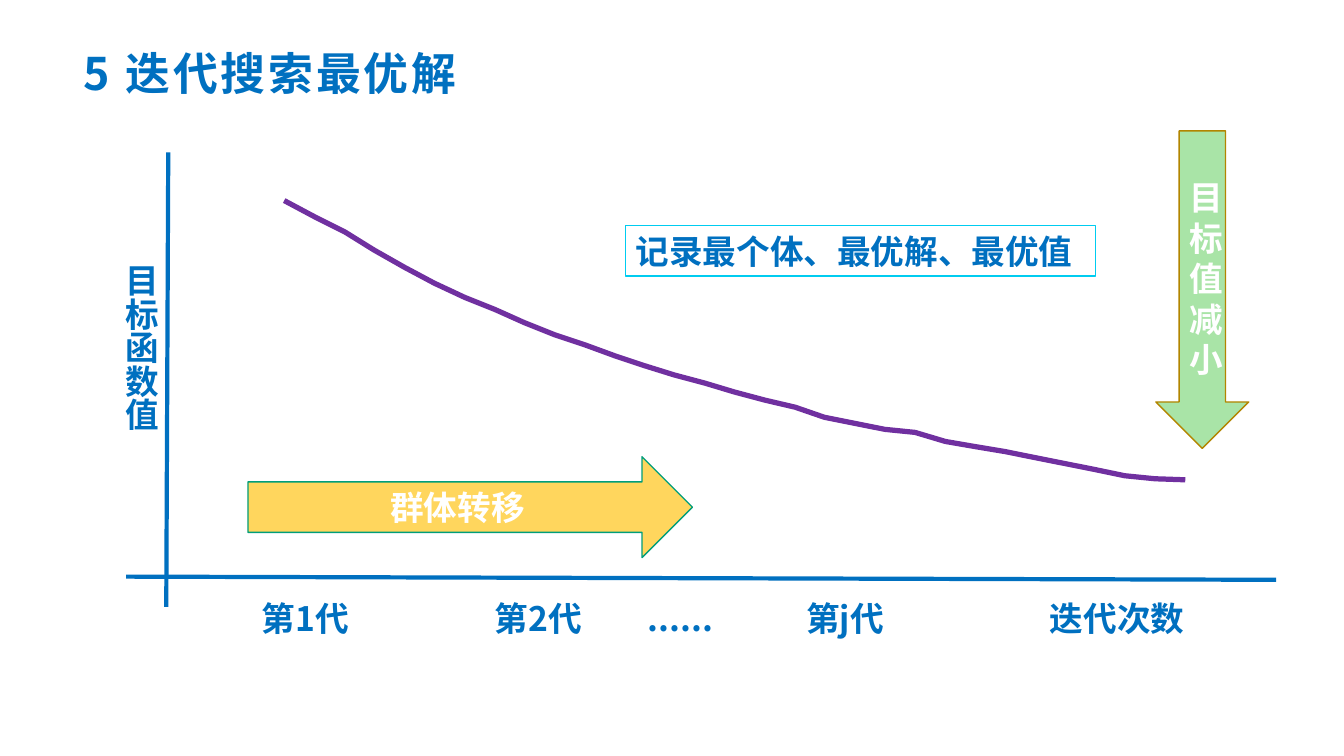
import pptx
import pptx.dml.color
import pptx.enum.shapes
import pptx.enum.text
import pptx.oxml.ns
import pptx.util
from lxml import etree
from pptx.util import Cm

FONT = "Noto Sans CJK SC"
BLUE, WHITE, PURPLE = "0070C0", "FFFFFF", "7030A0"
SHAPE = pptx.enum.shapes.MSO_SHAPE
ANCHOR = pptx.enum.text.MSO_ANCHOR
ALIGN = pptx.enum.text.PP_ALIGN

# Curve heights at equal horizontal steps, in hundredths of an inch
CURVE_START, CURVE_STEP = 282, 29.8
CURVE_HEIGHTS = [199, 215, 230, 248, 265, 281, 295, 307, 320, 332, 342,
                 353, 363, 372, 380, 389, 397, 404, 414, 420, 426,
                 429, 438, 443, 448, 454, 460, 466, 472, 475, 476]


def rgb(color):
    return pptx.dml.color.RGBColor.from_string(color)


def set_text(s, text, size=24, color=BLUE, align=ALIGN.LEFT, anchor=ANCHOR.TOP,
             leading=29, spacing=None, vertical=False):
    tf = s.text_frame
    tf.word_wrap = True
    tf.auto_size = pptx.enum.text.MSO_AUTO_SIZE.NONE
    tf.vertical_anchor = anchor
    if vertical:
        tf._txBody.bodyPr.set("vert", "eaVert")
    p = tf.paragraphs[0]
    p.alignment = align
    if leading:
        p.line_spacing = pptx.util.Pt(leading)
    r = p.add_run()
    r.text = text
    r.font.name = FONT
    r.font.size = pptx.util.Pt(size)
    r.font.bold = True
    r.font.color.rgb = rgb(color)
    rPr = r._r.get_or_add_rPr()
    etree.SubElement(rPr, pptx.oxml.ns.qn("a:ea"), typeface=FONT)
    if spacing:
        rPr.set("spc", str(spacing * 100))


def set_line(s, color, width):
    s.line.color.rgb = rgb(color)
    s.line.width = pptx.util.Pt(width)


def add_label(slide, text, left, top, width, height, **fmt):
    s = slide.shapes.add_textbox(Cm(left), Cm(top), Cm(width), Cm(height))
    set_text(s, text, **fmt)


def add_block(slide, kind, text, left, top, width, height, fill, line, **fmt):
    s = slide.shapes.add_shape(kind, Cm(left), Cm(top), Cm(width), Cm(height))
    s.shadow.inherit = False
    s.fill.solid()
    s.fill.fore_color.rgb = rgb(fill)
    set_line(s, line, 1)
    set_text(s, text, **fmt)


def add_axis(slide, x1, y1, x2, y2):
    s = slide.shapes.add_connector(pptx.enum.shapes.MSO_CONNECTOR.STRAIGHT,
                                   Cm(x1), Cm(y1), Cm(x2), Cm(y2))
    set_line(s, BLUE, 3)
    etree.SubElement(s._element.spPr, pptx.oxml.ns.qn("a:effectLst"))


def add_curve(slide, start, step, heights):
    points = [(start + step * i, y) for i, y in enumerate(heights)]
    builder = slide.shapes.build_freeform(*points[0], scale=Cm(0.0254))
    builder.add_line_segments(points[1:], close=False)
    s = builder.convert_to_shape()
    s.shadow.inherit = False
    s.fill.background()
    set_line(s, PURPLE, 3.75)


def add_title(slide, text):
    s = slide.shapes.title
    s.left, s.top, s.width, s.height = Cm(1.85), Cm(1.22), Cm(14.53), Cm(1.22)
    set_text(s, text, size=32, anchor=ANCHOR.MIDDLE, leading=None, spacing=2)


def main():
    prs = pptx.Presentation()
    prs.slide_width, prs.slide_height = Cm(33.87), Cm(19.05)
    slide = prs.slides.add_slide(prs.slide_layouts[5])
    add_title(slide, "5 迭代搜索最优解")
    add_block(slide, SHAPE.RECTANGLE, "记录最个体、最优解、最优值",
              15.77, 5.69, 11.84, 1.27, WHITE, "00CCF0")

    add_axis(slide, 3.18, 14.53, 32.16, 14.61)
    add_axis(slide, 4.24, 3.84, 4.19, 15.29)
    add_label(slide, "目标函数值", 2.67, 6.4, 1.52, 5.49, leading=None, vertical=True)
    for text, left, width in [("第1代", 6.35, 3.1), ("第2代", 12.22, 3.1),
                              ("......", 16.08, 3.25), ("第j代", 20.07, 3.1),
                              ("迭代次数", 26.21, 5.26)]:
        add_label(slide, text, left, 14.94, width, 1.27)
    add_curve(slide, CURVE_START, CURVE_STEP, CURVE_HEIGHTS)

    centred = {"color": WHITE, "align": ALIGN.CENTER, "anchor": ANCHOR.MIDDLE}
    add_block(slide, SHAPE.RIGHT_ARROW, "群体转移", 6.25, 11.51, 11.2, 2.54,
              "FFD65D", "009E7A", **centred)
    add_block(slide, SHAPE.DOWN_ARROW, "目标值减小", 29.13, 3.3, 2.34, 8,
              "A9E4A7", "B28500", **centred)
    prs.save("out.pptx")


if __name__ == "__main__":
    main()
